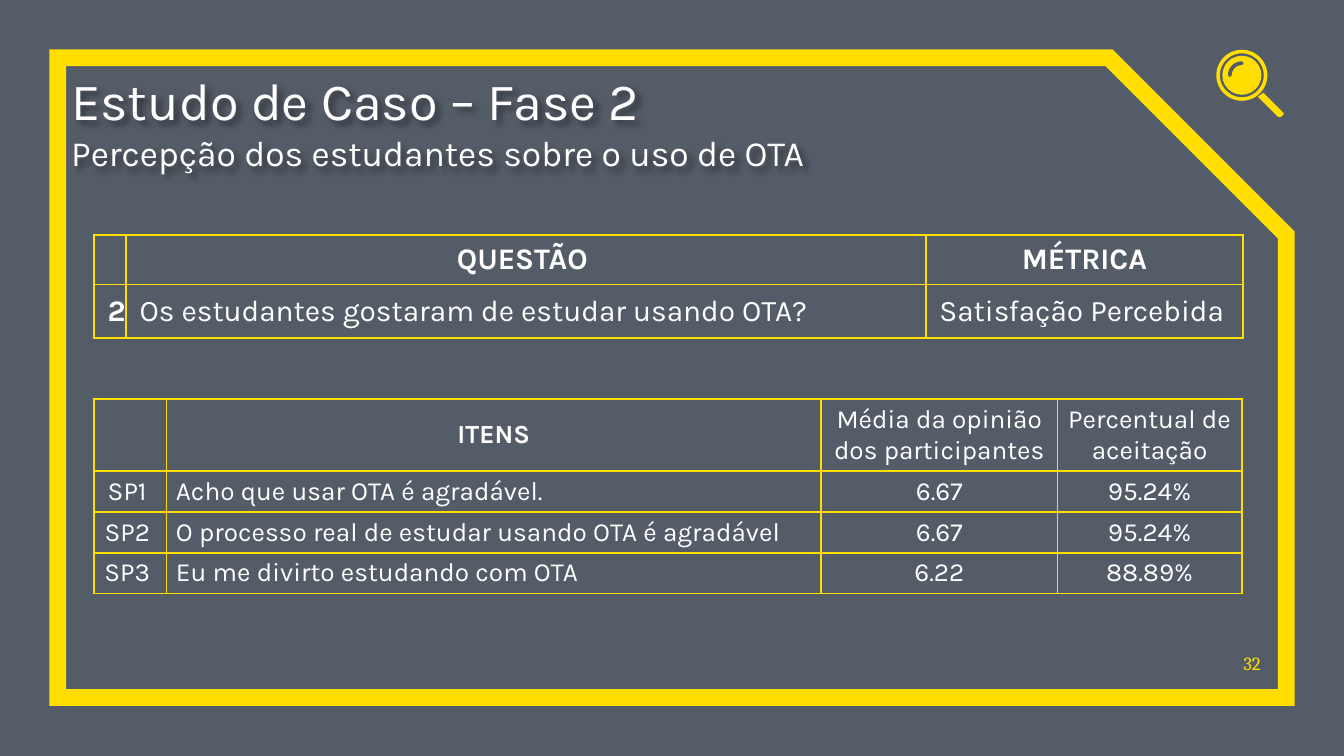
from lxml import etree
from pptx import Presentation
from pptx import util as u
from pptx.dml.color import RGBColor
from pptx.enum import shapes, text
from pptx.oxml.ns import qn

YELLOW, WHITE, SLATE = "FFDE00", "FFFFFF", "545C67"
LEFT, CENTER, RIGHT = text.PP_ALIGN.LEFT, text.PP_ALIGN.CENTER, text.PP_ALIGN.RIGHT
MIDDLE, BOTTOM = text.MSO_ANCHOR.MIDDLE, text.MSO_ANCHOR.BOTTOM

QUESTIONS = [
    ["", "QUESTÃO ", "MÉTRICA"],
    ["2", "Os estudantes gostaram de estudar usando OTA?", "Satisfação Percebida"],
]
ITEMS = [
    ["", "ITENS", "Média da opinião\ndos participantes", "Percentual de\naceitação"],
    ["SP1 ", "Acho que usar OTA é agradável.", "6.67", "95.24%"],
    ["SP2 ", "O processo real de estudar usando OTA é agradável", "6.67", "95.24%"],
    ["SP3 ", "Eu me divirto estudando com OTA", "6.22", "88.89%"],
]
BOLD = {"QUESTÃO ", "MÉTRICA", "2", "ITENS"}


def color(value):
    return RGBColor.from_string(value)


def inches(*values):
    return [u.Inches(value) for value in values]


def add_xml(parent, tag, **attributes):
    return etree.SubElement(parent, qn(tag), attributes)


def paint(item, value):
    item.fill.solid()
    item.fill.fore_color.rgb = color(value)


def write(para, words, size, align=LEFT, name="Karla", ink=WHITE, bold=False):
    para.alignment = align
    if not words:
        add_xml(para._p, "a:endParaRPr", sz=str(size * 100))
        return
    span = para.add_run()
    span.text = words
    for key, value in {"name": name, "size": u.Pt(size), "bold": bold}.items():
        setattr(span.font, key, value)
    span.font.color.rgb = color(ink)


def set_frame(box, **extra):
    margins = dict.fromkeys(["margin_left", "margin_top", "margin_right", "margin_bottom"], 0)
    for key, value in {**margins, "word_wrap": True, **extra}.items():
        setattr(box.text_frame, key, value)


def add_shadow(shape):
    effects = add_xml(shape._element.spPr, "a:effectLst")
    shadow = add_xml(effects, "a:outerShdw", blurRad="38100", dist="38100",
                     dir="2700000", algn="tl")
    add_xml(add_xml(shadow, "a:srgbClr", val="000000"), "a:alpha", val="43000")


def add_title(page):
    title = page.shapes.title
    title.left, title.top, title.width, title.height = inches(0.53, 0.54, 8.41, 0.75)
    set_frame(title, vertical_anchor=BOTTOM, auto_size=text.MSO_AUTO_SIZE.NONE)
    add_shadow(title)
    frame = title.text_frame
    lines = [("Estudo de Caso – Fase 2", 28),
             ("Percepção dos estudantes sobre o uso de OTA", 19)]
    for para, (words, size) in zip([frame.paragraphs[0], frame.add_paragraph()], lines):
        write(para, words, size)


def add_page_number(page):
    box = page.shapes.add_textbox(*inches(9.11, 4.74, 0.27, 0.28))
    set_frame(box, vertical_anchor=BOTTOM)
    write(box.text_frame.paragraphs[0], "32", 10, RIGHT, "Cambria", YELLOW)


def add_border(page):
    border = page.shapes.add_shape(shapes.MSO_SHAPE.SNIP_1_RECTANGLE,
                                   *inches(0.43, 0.43, 9.14, 4.76))
    border.adjustments[0] = 0.277
    border.shadow.inherit = False
    border.fill.background()
    border.line.color.rgb = color(YELLOW)
    border.line.width = u.Pt(9)
    add_xml(border.line._get_or_add_ln(), "a:miter", lim="800000")


def add_magnifier(page):
    group = page.shapes.add_group_shape()

    def add_round(kind, size):
        """Add a round shape about the centre of the lens."""
        shape = group.shapes.add_shape(
            kind, *inches(9.24 - size / 2, 0.56 - size / 2, size, size))
        shape.shadow.inherit = False
        return shape

    ring = add_round(shapes.MSO_SHAPE.DONUT, 0.38)
    ring.adjustments[0] = 0.07
    lens = add_round(shapes.MSO_SHAPE.OVAL, 0.29)
    glint = add_round(shapes.MSO_SHAPE.ARC, 0.18)
    # Angles in units of 100000 / 60000 degree: from 180 to 270 degrees.
    glint.adjustments[0], glint.adjustments[1] = 108, 162
    glint.fill.background()
    glint.line.color.rgb = color(SLATE)
    glint.line.width = u.Pt(2)
    glint.line._get_or_add_ln().set("cap", "rnd")

    corners = [(9.4, 0.69), (9.36, 0.72), (9.51, 0.87), (9.53, 0.87),
               (9.55, 0.85), (9.55, 0.84)]
    start, *others = [inches(*corner) for corner in corners]
    builder = group.shapes.build_freeform(*start)
    builder.add_line_segments(others, close=True)
    handle = builder.convert_to_shape()
    handle.shadow.inherit = False
    for part in (ring, lens, handle):
        paint(part, YELLOW)
        part.line.fill.background()


def set_borders(cell):
    properties = cell._tc.get_or_add_tcPr()
    for index, side in enumerate(["a:lnL", "a:lnR", "a:lnT", "a:lnB"]):
        line = etree.Element(qn(side), w=str(u.Pt(1)))
        add_xml(add_xml(line, "a:solidFill"), "a:srgbClr", val=YELLOW)
        properties.insert(index, line)


def add_grid(page, rows, top, widths, heights, size, aligns, margins):
    """Add a yellow-ruled table; header cells are centred, others follow aligns."""
    area = inches(0.7, top, sum(widths), sum(heights))
    table = page.shapes.add_table(len(rows), len(widths), *area).table
    table.first_row = table.horz_banding = False
    for column, width in zip(table.columns, widths):
        column.width = u.Inches(width)
    for row, height in zip(table.rows, heights):
        row.height = u.Inches(height)
    for i, row in enumerate(rows):
        for j, words in enumerate(row):
            cell = table.cell(i, j)
            cell.fill.background()
            set_borders(cell)
            cell.vertical_anchor = MIDDLE
            cell.margin_left = cell.margin_right = u.Inches(margins[0])
            cell.margin_top = cell.margin_bottom = u.Inches(margins[1])
            for k, line in enumerate(words.split("\n")):
                frame = cell.text_frame
                para = frame.add_paragraph() if k else frame.paragraphs[0]
                write(para, line, size, aligns[j] if i else CENTER, bold=words in BOLD)


def main():
    deck = Presentation()
    deck.slide_width, deck.slide_height = inches(10, 10 * 9 / 16)
    page = deck.slides.add_slide(deck.slide_layouts[5])
    paint(page.background, SLATE)
    add_border(page)
    add_page_number(page)
    add_magnifier(page)
    add_title(page)
    add_grid(page, QUESTIONS, 1.75, [0.23, 5.95, 2.36], [0.36, 0.4], 16,
             [CENTER, LEFT, LEFT], (0.1, 0.05))
    add_grid(page, ITEMS, 2.97, [0.54, 4.87, 1.76, 1.37], [0.53, 0.3, 0.3, 0.3], 14,
             [CENTER, LEFT, CENTER, CENTER], (0.07, 2.5 / 72))
    deck.save("out.pptx")


if __name__ == "__main__":
    main()
